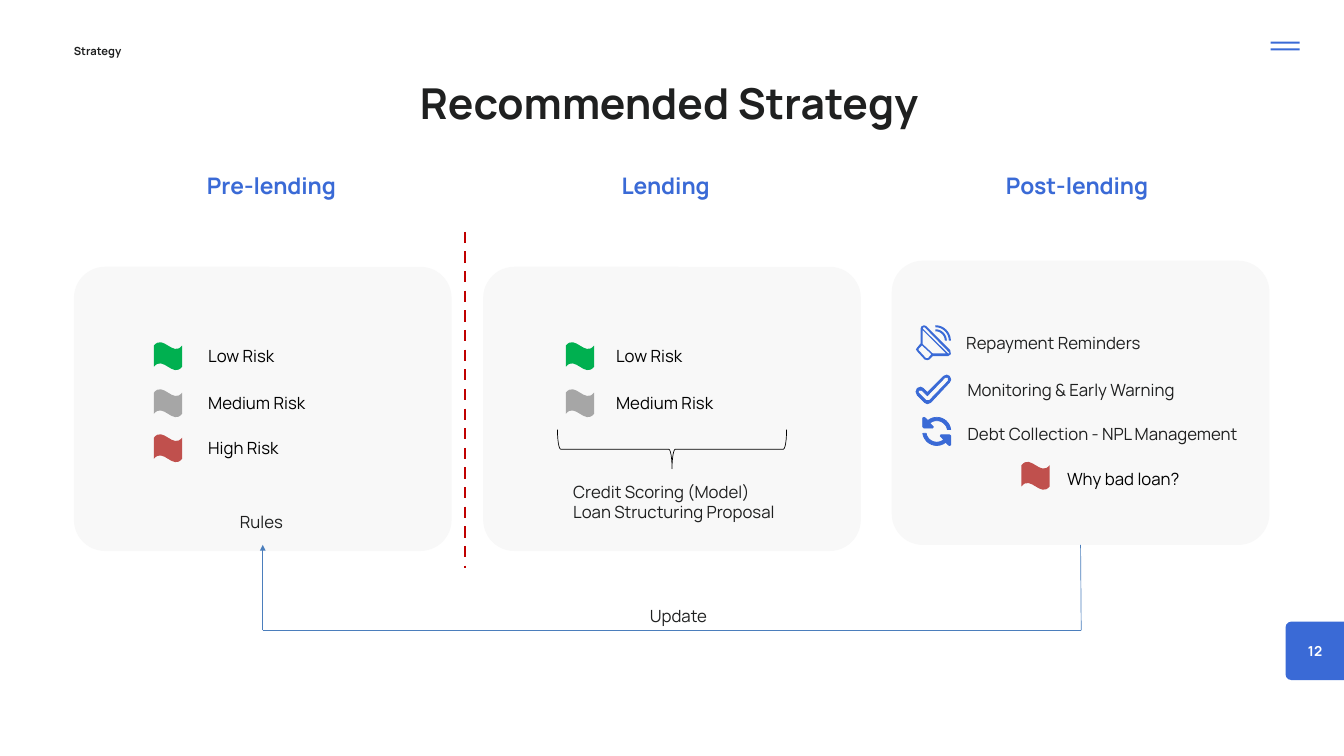
import math
from dataclasses import dataclass

from lxml import etree
from pptx import Presentation
from pptx import util as u
from pptx.dml import color
from pptx.enum import dml, shapes, text
from pptx.oxml import ns


@dataclass(frozen=True)
class Theme:
    font: str = "Manrope"
    ink: str = "1F2020"
    black: str = "000000"
    white: str = "FFFFFF"
    accent: str = "3A6AD6"
    card: str = "F8F8F8"
    low: str = "00B050"
    medium: str = "A6A6A6"
    high: str = "C0504D"
    divider: str = "C00000"
    flow: str = "4B7EBC"
    title: float = 45.6
    heading: float = 24.4
    body: float = 18
    page: float = 14.7
    tag: float = 12


THEME = Theme()
SHAPE = shapes.MSO_SHAPE
LEFT, CENTER = text.PP_ALIGN.LEFT, text.PP_ALIGN.CENTER
CARD_SIZE = (5.62, 4.23)
FLAG_SIZE = 0.42
FLOW_Y = 9.38
RISKS = {
    "Low Risk": (THEME.low, 5.09, 1.22),
    "Medium Risk": (THEME.medium, 5.79, 1.77),
    "High Risk": (THEME.high, 6.46, 1.31),
}


def rgb(value):
    return color.RGBColor.from_string(value)


def place(item, left, top, width, height):
    item.left, item.top = u.Inches(left), u.Inches(top)
    item.width, item.height = u.Inches(width), u.Inches(height)


def write(frame, content, size=THEME.body, ink=THEME.ink, bold=False,
          align=LEFT, spacing=None, fitted=False):
    frame.text = content
    frame.word_wrap = not fitted
    frame.auto_size = text.MSO_AUTO_SIZE.NONE
    frame.vertical_anchor = text.MSO_ANCHOR.TOP
    if not fitted:
        frame.margin_left = frame.margin_right = 0
        frame.margin_top = frame.margin_bottom = 0
    for paragraph in frame.paragraphs:
        paragraph.alignment = align
        paragraph.space_before = u.Pt(0)
        if spacing:
            paragraph.line_spacing = u.Pt(spacing)
        for run in paragraph.runs:
            run.font.name, run.font.size = THEME.font, u.Pt(size)
            run.font.bold, run.font.color.rgb = bold, rgb(ink)


def add_label(slide, content, left, top, width, height=0.3, **style):
    label = slide.shapes.add_textbox(*map(u.Inches, (left, top, width, height)))
    write(label.text_frame, content, **style)


def paint(item, fill=None, line=None, width=0.75):
    item.shadow.inherit = False
    if fill:
        item.fill.solid()
        item.fill.fore_color.rgb = rgb(fill)
    else:
        item.fill.background()
    if line:
        item.line.color.rgb = rgb(line)
        item.line.width = u.Pt(width)
    else:
        item.line.fill.background()


def add_block(slide, kind, left, top, width, height, **colors):
    block = slide.shapes.add_shape(kind, *map(u.Inches, (left, top, width, height)))
    paint(block, **colors)
    return block


def add_card(slide, left, top):
    card = add_block(slide, SHAPE.ROUNDED_RECTANGLE, left, top, *CARD_SIZE, fill=THEME.card)
    card.adjustments[0] = 0.11
    return card


def add_flag(slide, left, top, fill):
    add_block(slide, SHAPE.WAVE, left, top, FLAG_SIZE, FLAG_SIZE, fill=fill)


def add_risks(slide, names, flag_left, label_left):
    for name in names:
        fill, top, width = RISKS[name]
        add_flag(slide, flag_left, top, fill)
        add_label(slide, name, label_left, top + 0.01, width, 0.4, ink=THEME.black, fitted=True)


def add_line(slide, start, end, ink=THEME.flow, width=0.75, dashed=False, arrow=False):
    line = slide.shapes.add_connector(
        shapes.MSO_CONNECTOR.STRAIGHT, *map(u.Inches, (*start, *end)))
    line.line.color.rgb = rgb(ink)
    line.line.width = u.Pt(width)
    if dashed:
        line.line.dash_style = dml.MSO_LINE.DASH
    if arrow:
        etree.SubElement(line.line._get_or_add_ln(), ns.qn("a:tailEnd"), type="triangle")
    etree.SubElement(line.element.spPr, ns.qn("a:effectLst"))
    return line


def arc(center, radius, start, end, steps=12):
    angles = [math.radians(start + (end - start) * i / steps) for i in range(steps + 1)]
    return [(center[0] + radius * math.cos(a), center[1] + radius * math.sin(a)) for a in angles]


def add_icon(slide, contours, line=None):
    points = [[(u.Inches(x), u.Inches(y)) for x, y in contour] for contour in contours]
    builder = slide.shapes.build_freeform(*points[0][0], scale=1.0)
    builder.add_line_segments(points[0][1:], close=True)
    for contour in points[1:]:
        builder.move_to(*contour[0])
        builder.add_line_segments(contour[1:], close=True)
    paint(builder.convert_to_shape(), fill=THEME.accent, line=line)


def add_megaphone(slide):
    body = [(13.78, 4.85), (13.75, 4.84), (13.71, 4.86), (13.7, 4.89), (13.7, 5.11),
            (13.65, 5.17), (13.63, 5.2), (13.65, 5.23), (13.76, 5.35), (13.8, 5.36),
            (13.83, 5.35), (13.88, 5.3), (14.11, 5.3), (14.15, 5.27), (14.14, 5.21)]
    handle = [(13.86, 5.27), (13.81, 5.33), (13.78, 5.33), (13.67, 5.21), (13.67, 5.19),
              (13.72, 5.14)]
    cone = [(13.88, 5.26), (13.73, 5.12), (13.73, 4.91), (14.08, 5.26)]
    rim = [(14.13, 5.26), (14.11, 5.26), (13.73, 4.89), (13.74, 4.87), (13.76, 4.87),
           (14.12, 5.24)]
    add_icon(slide, [body, handle, cone, rim])
    for inner, outer in ((0.14, 0.17), (0.2, 0.23)):
        source = (13.92, 5.07)
        add_icon(slide, [arc(source, outer, -90, 0) + arc(source, inner, 0, -90)])


def add_check(slide):
    outer = [(14.13, 5.6), (14.09, 5.58), (14.04, 5.6), (13.8, 5.84), (13.74, 5.78),
             (13.7, 5.76), (13.65, 5.78), (13.63, 5.83), (13.65, 5.88), (13.76, 5.99),
             (13.8, 6.01), (13.85, 5.99), (14.13, 5.69), (14.15, 5.65)]
    inner = [(14.11, 5.67), (13.83, 5.96), (13.78, 5.96), (13.67, 5.85), (13.67, 5.81),
             (13.72, 5.81), (13.8, 5.89), (14.06, 5.62), (14.11, 5.62)]
    add_icon(slide, [outer, inner], line=THEME.accent)


def add_cycle(slide):
    x, y = center = (13.94, 6.42)
    upper = ([(13.73, 6.35), (13.75, 6.37), (13.88, 6.37), (13.89, 6.35)]
             + arc(center, 0.16, 230, 350) + arc(center, 0.21, 352, 231)
             + [(13.77, 6.22), (13.75, 6.21), (13.73, 6.22)])
    lower = [(2 * x - px, 2 * y - py) for px, py in upper]
    add_icon(slide, [upper, lower], line=THEME.accent)


def add_frame(slide):
    place(slide.shapes.title, 1.09, 1.02, 17.73, 0.85)
    write(slide.shapes.title.text_frame, "Recommended Strategy", size=THEME.title,
          bold=True, align=CENTER, spacing=63.9)
    add_label(slide, "Strategy", 1.1, 0.62, 4.8, 0.23, size=THEME.tag, bold=True, spacing=16.8)
    for top in (0.62, 0.72):
        add_block(slide, SHAPE.RECTANGLE, 18.91, top, 0.43, 0.03, fill=THEME.accent)
    tab = add_block(slide, SHAPE.ROUNDED_RECTANGLE, 19.13, 9.25, 1.04, 0.87, fill=THEME.accent)
    tab.adjustments[0] = 0.1
    add_label(slide, "12", 19.33, 9.53, 0.48, 0.28, size=THEME.page, ink=THEME.white,
              bold=True, align=CENTER, spacing=20.6)
    for name, left, top, width in (("Pre-lending", 3.08, 2.48, 2.26),
                                   ("Lending", 9.25, 2.49, 2.26),
                                   ("Post-lending", 14.97, 2.48, 2.92)):
        add_label(slide, name, left, top, width, 0.45, size=THEME.heading,
                  ink=THEME.accent, bold=True, spacing=34.2)


def add_pre_lending(slide):
    card = add_card(slide, 1.1, 3.97)
    add_risks(slide, RISKS, 2.29, 3)
    add_label(slide, "Rules", 3.57, 7.61, 1.13)
    return card


def add_lending(slide):
    card = add_card(slide, 7.19, 3.97)
    add_risks(slide, ("Low Risk", "Medium Risk"), 8.42, 9.07)
    brace = add_block(slide, SHAPE.RIGHT_BRACE, 9.71, 4.98, 0.58, 3.41, line=THEME.black)
    brace.rotation = 90
    outputs = slide.placeholders[1]
    place(outputs, 8.53, 7.17, 5.2, 0.61)
    write(outputs.text_frame, "Credit Scoring (Model)\nLoan Structuring Proposal")
    for paragraph in outputs.text_frame.paragraphs:
        properties = paragraph._p.get_or_add_pPr()
        properties.set("marL", "0")
        properties.set("indent", "0")
        etree.SubElement(properties, ns.qn("a:buNone"))
    card.element.addnext(outputs.element)


def add_post_lending(slide):
    card = add_card(slide, 13.27, 3.88)
    add_megaphone(slide)
    add_check(slide)
    add_cycle(slide)
    add_label(slide, "Repayment Reminders", 14.28, 4.9, 3.14, 0.4, fitted=True)
    add_label(slide, "Monitoring & Early Warning", 14.3, 5.6, 3.59, 0.4, fitted=True)
    add_label(slide, "Debt Collection - NPL Management", 14.4, 6.3, 4.95)
    add_flag(slide, 15.2, 6.87, THEME.high)
    add_label(slide, "Why bad loan?", 15.78, 6.92, 2.08, 0.4, ink=THEME.black, fitted=True)
    return card


def add_update_flow(slide, pre_card, post_card):
    add_line(slide, (3.91, 8.2), (3.91, FLOW_Y)).begin_connect(pre_card, 2)
    add_line(slide, (3.91, FLOW_Y), (16.08, FLOW_Y))
    add_line(slide, (16.09, FLOW_Y), (16.08, 8.11)).end_connect(post_card, 2)
    add_line(slide, (3.91, FLOW_Y), (3.91, 8.11), arrow=True)
    add_label(slide, "Update", 9.67, 9.02, 5.2)


def main():
    deck = Presentation()
    deck.slide_width, deck.slide_height = u.Inches(20), u.Inches(11.25)
    slide = deck.slides.add_slide(deck.slide_layouts[1])
    add_frame(slide)
    pre_card = add_pre_lending(slide)
    add_lending(slide)
    post_card = add_post_lending(slide)
    add_line(slide, (6.92, 3.45), (6.92, 8.45), ink=THEME.divider, width=3, dashed=True)
    add_update_flow(slide, pre_card, post_card)
    deck.save("out.pptx")


if __name__ == "__main__":
    main()
